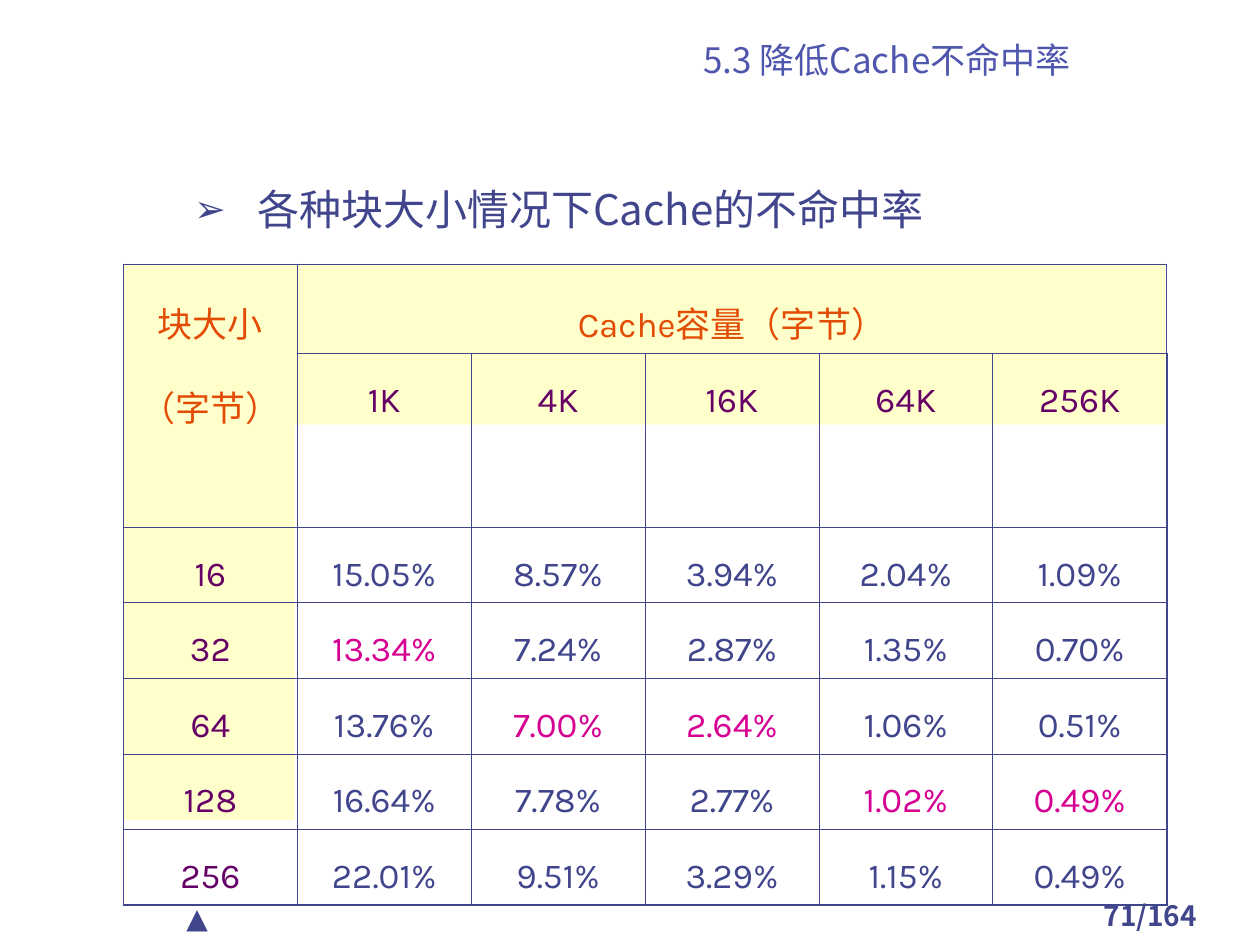
from lxml import etree
from pptx import Presentation
from pptx.dml.color import RGBColor
from pptx.enum import shapes, text
from pptx.oxml import ns
from pptx.util import Inches, Pt

INDIGO = RGBColor(0x40, 0x45, 0x8C)
TITLE_BLUE = RGBColor(0x4F, 0x56, 0xAD)
CREAM = RGBColor(0xFF, 0xFF, 0xCC)
ORANGE = RGBColor(0xE2, 0x4C, 0x05)
PURPLE = RGBColor(0x66, 0x00, 0x66)
MAGENTA = RGBColor(0xD6, 0x00, 0x93)
CJK = "Noto Sans CJK SC"
LATIN = "Karla"


def write(tf, value, size=20, font=LATIN, color=INDIGO, bold=False,
          align=text.PP_ALIGN.CENTER, spacing=None):
    """Fill a text frame, one paragraph for each line of value."""
    tf.word_wrap = True
    for i, line in enumerate(value.split("\n")):
        p = tf.paragraphs[0] if i == 0 else tf.add_paragraph()
        p.alignment = align
        p.line_spacing = spacing
        p.space_before = Pt(5 if i else 0)
        r = p.add_run()
        r.text = line
        r.font.size, r.font.name, r.font.bold = Pt(size), font, bold
        r.font.color.rgb = color
        ea = etree.SubElement(r.font._element, ns.qn("a:ea"))
        ea.set("typeface", CJK)


def set_borders(cell, widths):
    """Draw the cell's edges; widths are points in the order L, R, T, B."""
    tcPr = cell._tc.get_or_add_tcPr()
    for side, width in zip("LRTB", widths):
        ln = etree.SubElement(tcPr, ns.qn(f"a:ln{side}"), w=str(Pt(width)))
        fill = etree.SubElement(ln, ns.qn("a:solidFill"))
        etree.SubElement(fill, ns.qn("a:srgbClr"), val=str(INDIGO))


prs = Presentation()
prs.slide_width, prs.slide_height = Inches(10), Inches(7.5)
s = prs.slides.add_slide(prs.slide_layouts[1])
title, body = s.shapes.title, s.placeholders[1]

# Page number and marker at the foot
sp = s.shapes.add_textbox(Inches(8.42), Inches(7.08), Inches(1.42), Inches(0.33))
write(sp.text_frame, "71/164", size=16, font=CJK, bold=True)
sp = s.shapes.add_textbox(Inches(1.38), Inches(7.1), Inches(1.42), Inches(0.37))
write(sp.text_frame, "▲", size=16, align=text.PP_ALIGN.LEFT)

# Cream bands behind the header rows and the first column
for width, height in ((8.27, 1.27), (1.36, 4.41)):
    sp = s.shapes.add_shape(shapes.MSO_SHAPE.RECTANGLE, Inches(0.98), Inches(2.1),
                            Inches(width), Inches(height))
    sp.shadow.inherit = False
    sp.fill.solid()
    sp.fill.fore_color.rgb = CREAM
    sp.line.fill.background()

# Title and bulleted heading, in front of the bands
for sp in (title, body):
    s.shapes._spTree.append(sp._element)
title.left, title.top = Inches(4.25), Inches(0.27)
title.width, title.height = Inches(5.58), Inches(0.42)
title.text_frame.vertical_anchor = text.MSO_ANCHOR.BOTTOM
write(title.text_frame, "5.3 降低Cache不命中率", font=CJK, color=TITLE_BLUE)

body.left, body.top = Inches(0.75), Inches(1.33)
body.width, body.height = Inches(8.74), Inches(0.84)
write(body.text_frame, "各种块大小情况下Cache的不命中率", size=24, font=CJK,
      align=text.PP_ALIGN.LEFT, spacing=1.2)
p = body.text_frame.paragraphs[0]
p.level = 1
pPr = p._p.get_or_add_pPr()
pPr.set("marL", str(Inches(1.19)))
pPr.set("indent", str(Inches(-0.5)))
buClr = etree.SubElement(pPr, ns.qn("a:buClr"))
etree.SubElement(buClr, ns.qn("a:srgbClr"), val=str(INDIGO))
etree.SubElement(pPr, ns.qn("a:buSzPct"), val="90000")
etree.SubElement(pPr, ns.qn("a:buChar"), char="➢")

# Miss rates by block size (rows) and cache capacity (columns)
rows = [
    ["块大小\n（字节）", "Cache容量（字节）", "", "", "", ""],
    ["", "1K", "4K", "16K", "64K", "256K"],
    ["16", "15.05%", "8.57%", "3.94%", "2.04%", "1.09%"],
    ["32", "13.34%", "7.24%", "2.87%", "1.35%", "0.70%"],
    ["64", "13.76%", "7.00%", "2.64%", "1.06%", "0.51%"],
    ["128", "16.64%", "7.78%", "2.77%", "1.02%", "0.49%"],
    ["256", "22.01%", "9.51%", "3.29%", "1.15%", "0.49%"],
]
lowest = {(3, 1), (4, 2), (4, 3), (5, 4), (5, 5)}
THIN, THICK = 0.45, 1.08
last_row, last_col = len(rows) - 1, len(rows[0]) - 1

table = s.shapes.add_table(len(rows), len(rows[0]), Inches(0.98), Inches(2.1),
                           Inches(8.27), Inches(4.42)).table
table.first_row = table.horz_banding = False
for col in table.columns:
    col.width = Inches(1.38)
for i, row in enumerate(table.rows):
    row.height = Inches(1.17 if i == 1 else 0.6)
table.cell(0, 0).merge(table.cell(1, 0))
table.cell(0, 1).merge(table.cell(0, last_col))

for i, row in enumerate(rows):
    for j, value in enumerate(row):
        cell = table.cell(i, j)
        edges = (j == 0, j == last_col, i == 0, i == last_row)
        set_borders(cell, [THICK if edge else THIN for edge in edges])
        cell.fill.background()
        if not value:
            continue
        if i == 0:
            color = ORANGE
        elif i == 1 or j == 0:
            color = PURPLE
        else:
            color = MAGENTA if (i, j) in lowest else INDIGO
        write(cell.text_frame, value, color=color, spacing=1.5)

prs.save("out.pptx")
